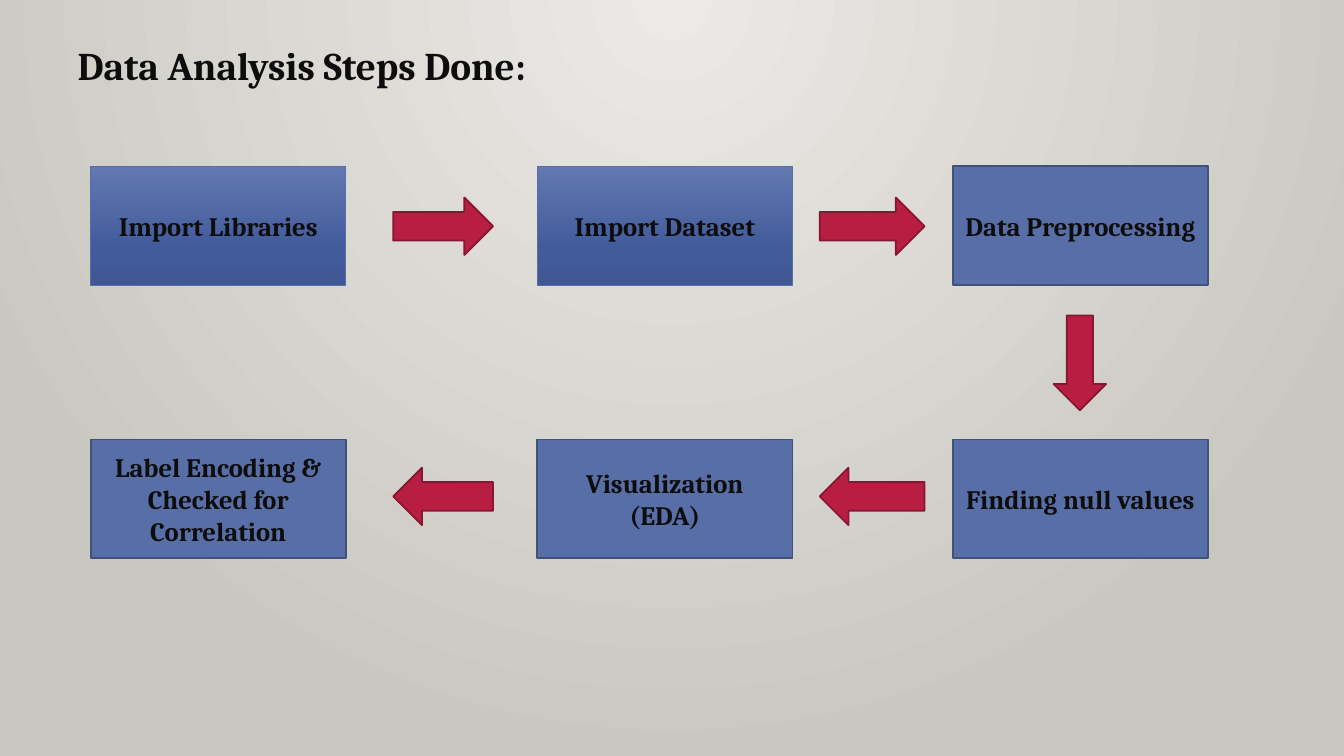
from copy import deepcopy

from lxml import etree
from pptx import Presentation
from pptx.dml.color import RGBColor
from pptx.enum.shapes import MSO_SHAPE
from pptx.enum.text import MSO_ANCHOR, MSO_AUTO_SIZE, PP_ALIGN
from pptx.oxml.ns import qn
from pptx.util import Inches, Pt

RECT = MSO_SHAPE.RECTANGLE
RIGHT = MSO_SHAPE.RIGHT_ARROW
LEFT = MSO_SHAPE.LEFT_ARROW
DOWN = MSO_SHAPE.DOWN_ARROW
MIDDLE = MSO_ANCHOR.MIDDLE
FIT_SHAPE = MSO_AUTO_SIZE.SHAPE_TO_FIT_TEXT
ALIGN_LEFT = PP_ALIGN.LEFT
ALIGN_CENTER = PP_ALIGN.CENTER

INK = RGBColor(0x0D, 0x0D, 0x0D)
BLUE = RGBColor(0x58, 0x6E, 0xA6)
BLUE_EDGE = RGBColor(0x41, 0x51, 0x7B)
RED = RGBColor(0xB7, 0x1E, 0x42)
RED_EDGE = RGBColor(0x87, 0x16, 0x31)
GLOSS = [(0, RGBColor(0x63, 0x78, 0xB0)),
         (0.69, RGBColor(0x42, 0x5B, 0x9B)),
         (1, RGBColor(0x3F, 0x57, 0x93))]
BACKDROP = [(0, RGBColor(0xEC, 0xEA, 0xE7)),
            (1, RGBColor(0xCA, 0xC7, 0xC1))]

COLUMNS = [0.9, 5.33, 9.45]
ROWS = [1.65, 4.36]
BOX_W, BOX_H = 2.53, 1.18
STEPS = [["Import Libraries", "Import Dataset", "Data Preprocessing"],
         ["Label Encoding & Checked for Correlation", "Visualization\n(EDA)",
          "Finding null values"]]
GLOSSY_STEPS = STEPS[0][:2]
ARROW_ROWS = [(RIGHT, 1.96), (LEFT, 4.64)]
ARROW_SPANS = [(3.9, 0.99), (8.13, 1.04)]


class Deck:
    font = "Cambria"

    def __init__(self):
        self.prs = Presentation()
        self.prs.slide_width = Inches(13.33)
        self.prs.slide_height = Inches(7.5)
        self.s = self.prs.slides.add_slide(self.prs.slide_layouts[5])

    def gradient(self, fill, element, stops):
        fill.gradient()
        gs_list = element.find(".//" + qn("a:gsLst"))
        while len(gs_list) < len(stops):
            gs_list.append(deepcopy(gs_list[-1]))
        for stop, (position, color) in zip(fill.gradient_stops, stops):
            stop.position = position
            stop.color.rgb = color

    def background(self, stops):
        element = self.s.element
        self.gradient(self.s.background.fill, element, stops)
        grad = element.find(".//" + qn("a:gradFill"))
        grad.remove(grad.find(qn("a:lin")))
        circle = etree.SubElement(grad, qn("a:path"), {"path": "circle"})
        etree.SubElement(circle, qn("a:fillToRect"),
                         l="43000", t="0", r="43000", b="100000")

    def text(self, tf, text, size, align):
        tf.word_wrap = True
        tf.vertical_anchor = MIDDLE
        tf.text = text
        for p in tf.paragraphs:
            p.alignment = align
            p.font.name = self.font
            p.font.size = Pt(size)
            p.font.bold = True
            p.font.color.rgb = INK

    def title(self, text, x, y, w, h):
        sp = self.s.shapes.title
        sp.left, sp.top, sp.width, sp.height = map(Inches, (x, y, w, h))
        self.text(sp.text_frame, text, 28, ALIGN_LEFT)
        sp.text_frame.auto_size = FIT_SHAPE

    def shape(self, kind, x, y, w, h, fill, edge, width=1.25):
        sp = self.s.shapes.add_shape(kind, *map(Inches, (x, y, w, h)))
        sp.shadow.inherit = False
        sp.fill.solid()
        sp.fill.fore_color.rgb = fill
        sp.line.color.rgb = edge
        sp.line.width = Pt(width)
        return sp

    def step(self, text, x, y):
        if text in GLOSSY_STEPS:
            sp = self.shape(RECT, x, y, BOX_W, BOX_H, BLUE, BLUE, 0.75)
            self.gradient(sp.fill, sp.element, GLOSS)
            sp.fill.gradient_angle = 270
        else:
            sp = self.shape(RECT, x, y, BOX_W, BOX_H, BLUE, BLUE_EDGE)
        self.text(sp.text_frame, text, 19, ALIGN_CENTER)

    def arrow(self, kind, x, y, w, h):
        self.shape(kind, x, y, w, h, RED, RED_EDGE)


def main():
    deck = Deck()
    deck.background(BACKDROP)
    deck.title("Data Analysis Steps Done:", 0.67, 0.36, 7.01, 0.57)
    for y, texts in zip(ROWS, STEPS):
        for x, text in zip(COLUMNS, texts):
            deck.step(text, x, y)
    for kind, y in ARROW_ROWS:
        for x, w in ARROW_SPANS:
            deck.arrow(kind, x, y, w, 0.57)
    deck.arrow(DOWN, 10.45, 3.13, 0.52, 0.94)
    deck.prs.save("out.pptx")


if __name__ == "__main__":
    main()
